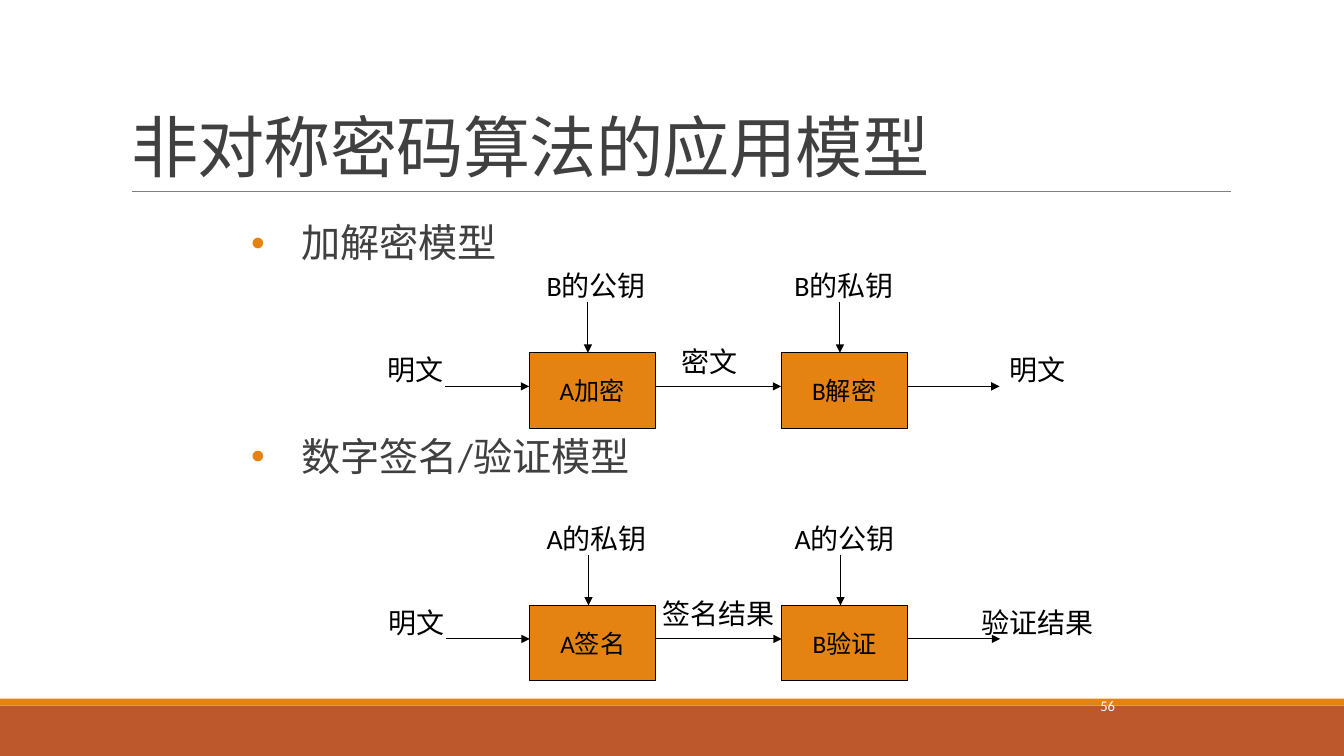
from dataclasses import dataclass

from lxml.etree import SubElement
from pptx import Presentation
from pptx.dml.color import RGBColor
from pptx.enum.shapes import MSO_CONNECTOR as Connector, MSO_SHAPE as Preset
from pptx.enum.text import MSO_ANCHOR as Anchor, MSO_AUTO_SIZE as AutoSize, PP_ALIGN as Align
from pptx.oxml.ns import qn
from pptx.util import Pt


@dataclass(frozen=True)
class Theme:
    font: str = "Calibri"
    accent: RGBColor = RGBColor(0xE4, 0x83, 0x12)
    footer: RGBColor = RGBColor(0xBD, 0x58, 0x2C)
    rule: RGBColor = RGBColor(0x80, 0x80, 0x80)
    heading: RGBColor = RGBColor(0x40, 0x40, 0x40)
    ink: RGBColor = RGBColor(0, 0, 0)
    white: RGBColor = RGBColor(0xFF, 0xFF, 0xFF)
    title_size: float = 48
    body_size: float = 28
    label_size: float = 20
    box_size: float = 18
    number_size: float = 10.5


THEME = Theme()


def place(shape, left, top, width, height):
    shape.left, shape.top = Pt(left), Pt(top)
    shape.width, shape.height = Pt(width), Pt(height)


def style(paragraph, size, color, align=Align.LEFT):
    paragraph.alignment = align
    font = paragraph.font
    font.name, font.size = THEME.font, Pt(size)
    font.color.rgb = color


def write(shape, text, size, color, align=Align.CENTER):
    frame = shape.text_frame
    frame.text = text
    frame.word_wrap = False
    frame.vertical_anchor = Anchor.MIDDLE
    style(frame.paragraphs[0], size, color, align)


def add_rectangle(shapes, left, top, width, height, fill):
    rectangle = shapes.add_shape(Preset.RECTANGLE, Pt(left), Pt(top), Pt(width), Pt(height))
    rectangle.shadow.inherit = False
    rectangle.fill.solid()
    rectangle.fill.fore_color.rgb = fill
    rectangle.line.fill.background()
    return rectangle


def add_step(shapes, text, left, top):
    step = add_rectangle(shapes, left, top, 90, 54, THEME.accent)
    step.line.color.rgb = THEME.ink
    step.line.width = Pt(0.75)
    write(step, text, THEME.box_size, THEME.ink)


def add_label(shapes, text, center, top, width):
    """Center a one-line label, widened where its text needs more room."""
    width = max(width, len(text) * (THEME.label_size + 2))
    label = shapes.add_textbox(Pt(center - width / 2), Pt(top), Pt(width), Pt(36))
    label.text_frame.margin_left = label.text_frame.margin_right = 0
    write(label, text, THEME.label_size, THEME.ink)


def add_line(shapes, start, end, color, width):
    line = shapes.add_connector(Connector.STRAIGHT, *map(Pt, start + end))
    line.line.color.rgb = color
    line.line.width = Pt(width)
    SubElement(line._element.spPr, qn("a:effectLst"))
    return line


def add_arrow(shapes, start, end):
    arrow = add_line(shapes, start, end, THEME.ink, 0.75)
    SubElement(arrow.line._get_or_add_ln(), qn("a:tailEnd"), type="triangle")


def add_frame(shapes):
    add_rectangle(shapes, 0, 504, 960, 36, THEME.footer)
    add_rectangle(shapes, 0, 499, 960, 5, THEME.accent)
    add_line(shapes, (94.3, 136.8), (879.1, 136.8), THEME.rule, 0.5)
    number = shapes.add_textbox(Pt(653.8), Pt(486), Pt(149.8), Pt(36))
    write(number, "56", THEME.number_size, THEME.white, Align.RIGHT)


def fill_title(title, text):
    place(title, 86.4, 22.3, 792, 114.5)
    frame = title.text_frame
    frame.text = text
    frame.vertical_anchor = Anchor.BOTTOM
    frame.auto_size = AutoSize.NONE
    paragraph = frame.paragraphs[0]
    paragraph.line_spacing = 0.85
    style(paragraph, THEME.title_size, THEME.heading)
    paragraph.runs[0].font._element.set("spc", "-50")


def add_bullet(paragraph):
    properties = paragraph._p.get_or_add_pPr()
    properties.set("marL", str(Pt(36)))
    properties.set("indent", str(Pt(-36)))
    color = SubElement(properties, qn("a:buClr"))
    SubElement(color, qn("a:srgbClr"), val=str(THEME.accent))
    SubElement(properties, qn("a:buFont"), typeface="Arial")
    SubElement(properties, qn("a:buChar"), char="•")


def fill_body(body, items):
    place(body, 179.3, 157, 612, 326.9)
    frame = body.text_frame
    frame.margin_left = frame.margin_right = 0
    frame.auto_size = AutoSize.NONE
    frame.vertical_anchor = Anchor.TOP
    frame.text = "\n".join(text for text, _ in items)
    for paragraph, (_, space_before) in zip(frame.paragraphs, items):
        paragraph.line_spacing = 0.88
        paragraph.space_before = Pt(space_before)
        paragraph.space_after = Pt(2)
        style(paragraph, THEME.body_size, THEME.heading)
        add_bullet(paragraph)


def add_model(slide, left, top, steps, keys, flow, between_center):
    """Draw two steps in a row; left and top locate the first box."""
    shapes = slide.shapes.add_group_shape().shapes
    pitch, flow_y = 180, top + 24
    source, between, result = flow

    # Boxes with their keys above
    for index, (step, key) in enumerate(zip(steps, keys)):
        box_left = left + index * pitch
        add_step(shapes, step, box_left, top)
        add_arrow(shapes, (box_left + 42, top - 36), (box_left + 42, top))
        key_center, key_width = ((48, 84), (45, 90))[index]
        add_label(shapes, key, box_left + key_center, top - 66, key_width)

    # Flow from left to right
    for start, end in ((-60, 0), (90, 180), (270, 336)):
        add_arrow(shapes, (left + start, flow_y), (left + end, flow_y))
    add_label(shapes, source, left - 81, top - 6, 66)
    add_label(shapes, between, between_center, top - 12, 66)
    add_label(shapes, result, left + 363, top - 6, 66)


def main():
    presentation = Presentation()
    presentation.slide_width, presentation.slide_height = Pt(960), Pt(540)
    slide = presentation.slides.add_slide(presentation.slide_layouts[1])

    # Frame, title and list
    add_frame(slide.shapes)
    fill_title(slide.shapes.title, "非对称密码算法的应用模型")
    fill_body(slide.placeholders[1], [("加解密模型", 0), ("数字签名/验证模型", 121)])

    # Encryption and signature models
    add_model(slide, 378, 252, ("A加密", "B解密"), ("B的公钥", "B的私钥"),
              ("明文", "密文", "明文"), 507)
    add_model(slide, 378.4, 432.4, ("A签名", "B验证"), ("A的私钥", "A的公钥"),
              ("明文", "签名结果", "验证结果"), 513.2)

    presentation.save("out.pptx")


if __name__ == "__main__":
    main()
